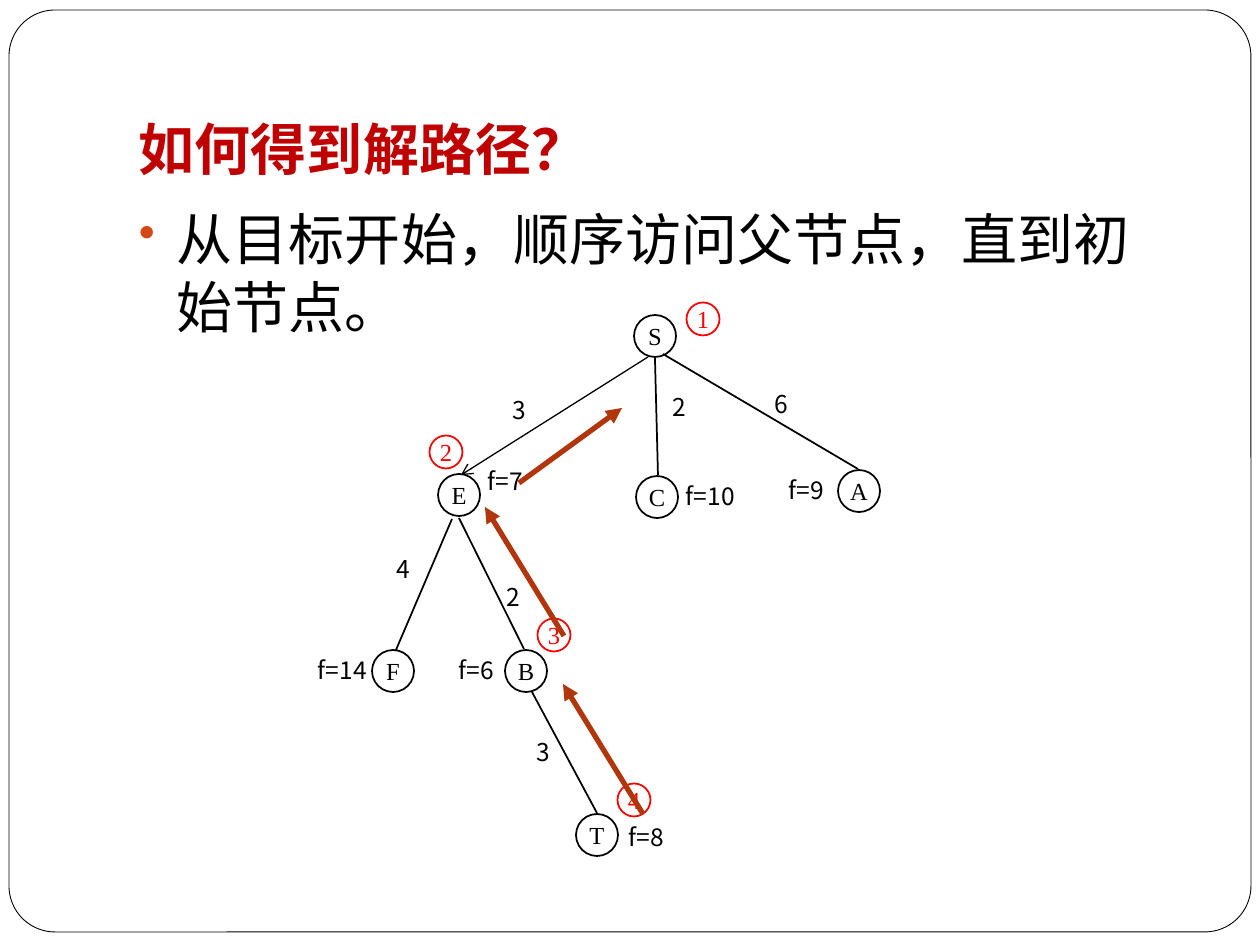
from lxml import etree
from pptx import Presentation
from pptx import util as u
from pptx.dml.color import RGBColor
from pptx.enum import shapes, text
from pptx.oxml.ns import qn

EMU_PER_PX = 914400 / 126
COLORS = {"black": "000000", "white": "FFFFFF", "title": "C00000",
          "bullet": "D34817", "badge": "FF0000", "trace": "B1360B"}
SERIF, SANS = "Times New Roman", "Noto Sans CJK SC"
NODE, BADGE = 42, 33

# Centres of the tree nodes and of the visiting-order badges
NODES = {"S": (655, 336), "E": (459, 495), "C": (657, 497), "A": (859, 491),
         "B": (526, 671), "F": (393, 671), "T": (597, 835)}
BADGES = {"1": (703, 319), "2": (446, 452), "3": (554, 635), "4": (634, 800)}
# Left, top of the labels
COSTS = [("2", 659, 386), ("3", 500, 389), ("6", 762, 383),
         ("2", 494, 576), ("4", 384, 548), ("3", 524, 731)]
F_VALUES = [("f=7", 475, 460), ("f=10", 673, 475), ("f=9", 776, 469),
            ("f=14", 305, 649), ("f=6", 446, 649), ("f=8", 616, 816)]
# Start and end points
EXPANDED_EDGE = (648, 357, 461, 475)
EDGES = [(655, 358, 658, 475), (663, 354, 858, 469), (452, 519, 396, 650),
         (459, 518, 524, 649), (532, 692, 597, 813)]
TRACES = [(643, 814, 563, 684), (564, 636, 485, 507), (519, 483, 622, 408)]


def px(*values):
    return [u.Emu(round(value * EMU_PER_PX)) for value in values]


def rgb(name):
    return RGBColor.from_string(COLORS[name])


def add_bullet(paragraph):
    properties = paragraph._p.get_or_add_pPr()
    indent, = px(38)
    properties.set("marL", str(indent))
    properties.set("indent", str(-indent))
    color = etree.SubElement(properties, qn("a:buClr"))
    etree.SubElement(color, qn("a:srgbClr"), val=COLORS["bullet"])
    etree.SubElement(properties, qn("a:buSzPct"), val="85000")
    etree.SubElement(properties, qn("a:buChar"), char="•")


def write(shape, words, size=14, font=SERIF, color="black", bold=False,
          align=text.PP_ALIGN.LEFT, anchor=text.MSO_ANCHOR.TOP,
          insets=(13, 6, 13, 6), bullet=False):
    frame = shape.text_frame
    frame.word_wrap = True
    frame.vertical_anchor = anchor
    (frame.margin_left, frame.margin_top,
     frame.margin_right, frame.margin_bottom) = px(*insets)
    paragraph = frame.paragraphs[0]
    paragraph.alignment = align
    if bullet:
        add_bullet(paragraph)
    run = paragraph.add_run()
    run.text = words
    run.font.size = u.Pt(size)
    run.font.name = font
    run.font.bold = bold
    run.font.color.rgb = rgb(color)
    etree.SubElement(run._r.get_or_add_rPr(), qn("a:ea"), typeface=SANS)


def add_box(slide, kind, box, fill=None, line=None, width=1):
    shape = slide.shapes.add_shape(kind, *px(*box))
    shape.shadow.inherit = False
    if fill:
        shape.fill.solid()
        shape.fill.fore_color.rgb = rgb(fill)
    else:
        shape.fill.background()
    if line:
        shape.line.color.rgb = rgb(line)
        shape.line.width = u.Pt(width)
    else:
        shape.line.fill.background()
    return shape


def add_circle(slide, words, center, size, color):
    x, y = center
    box = (x - size / 2, y - size / 2, size, size)
    circle = add_box(slide, shapes.MSO_SHAPE.OVAL, box, line=color)
    write(circle, words, color=color, align=text.PP_ALIGN.CENTER,
          anchor=text.MSO_ANCHOR.MIDDLE, insets=(0, 0, 0, 0))


def add_label(slide, words, left, top, width):
    box = (left, top, width, 44)
    label = add_box(slide, shapes.MSO_SHAPE.RECTANGLE, box, fill="white")
    write(label, words, font=SANS, align=text.PP_ALIGN.JUSTIFY)


def add_line(slide, points, color="black", width=1, head=None):
    line = slide.shapes.add_connector(shapes.MSO_CONNECTOR.STRAIGHT, *px(*points))
    line.line.color.rgb = rgb(color)
    line.line.width = u.Pt(width)
    if head:
        etree.SubElement(line.line._get_or_add_ln(), qn("a:tailEnd"), type=head)
    etree.SubElement(line._element.spPr, qn("a:effectLst"))


def add_text(slide, words, box, **style):
    write(slide.shapes.add_textbox(*px(*box)), words, **style)


def main():
    presentation = Presentation()
    presentation.slide_width, presentation.slide_height = px(1260, 945)
    slide = presentation.slides.add_slide(presentation.slide_layouts[6])

    # Frame, title and body
    frame = add_box(slide, shapes.MSO_SHAPE.ROUNDED_RECTANGLE,
                    (9, 10, 1242, 922), fill="white", line="black", width=0.5)
    frame.adjustments[0] = 0.05
    add_text(slide, "如何得到解路径？", (126, 38, 1071, 157), size=32, bold=True,
             color="title", anchor=text.MSO_ANCHOR.BOTTOM, insets=(13, 6, 13, 13))
    add_text(slide, "从目标开始，顺序访问父节点，直到初始节点。",
             (126, 199, 1071, 630), size=32, bullet=True)

    # Edge costs and f values
    for words, left, top in COSTS:
        add_label(slide, words, left, top, 45)
    for words, left, top in F_VALUES:
        add_label(slide, words, left, top, 86)

    # Search tree
    add_line(slide, EXPANDED_EDGE, width=0.75, head="arrow")
    for points in EDGES:
        add_line(slide, points)
    for name, center in NODES.items():
        add_circle(slide, name, center, NODE, "black")
    for number, center in BADGES.items():
        add_circle(slide, number, center, BADGE, "badge")

    # Way back from the goal to the start
    for points in TRACES:
        add_line(slide, points, color="trace", width=3, head="triangle")

    presentation.save("out.pptx")


if __name__ == "__main__":
    main()
